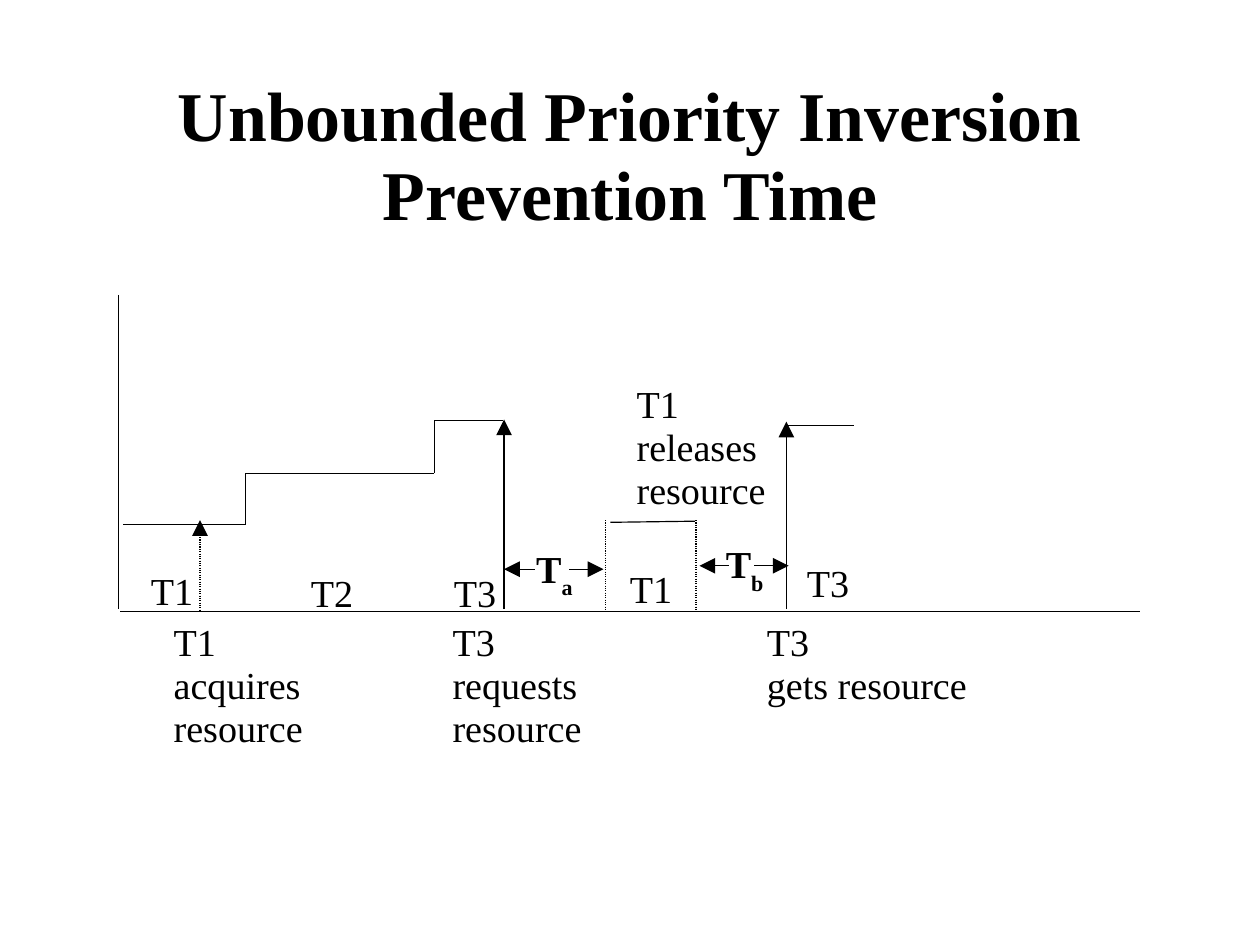
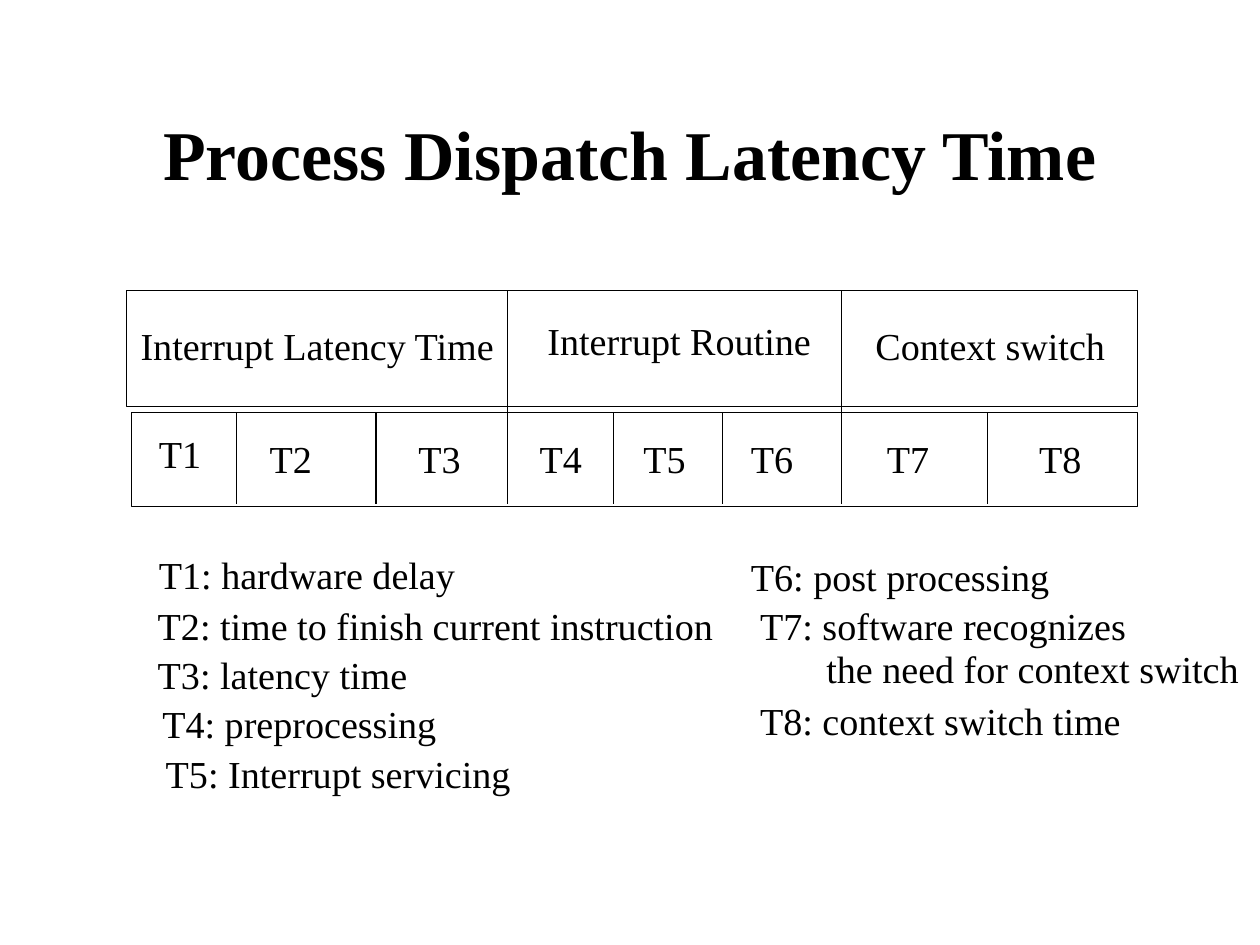
import itertools

import pptx
import pptx.dml.color
import pptx.enum.dml
import pptx.enum.shapes
import pptx.enum.text
import pptx.oxml
import pptx.oxml.ns
import pptx.util

Inches = pptx.util.Inches
Pt = pptx.util.Pt

COLORS = {"ink": "000000"}
FONT = "Times New Roman"
LINE_SPACING = 0.94
PAGE_WIDTH, PAGE_HEIGHT = pptx.util.Cm(28), pptx.util.Cm(21)
TITLE_SIZE, BODY_SIZE = 44, 24
LABEL_WIDTH, LABEL_HEIGHT = 0.45, 0.38

INVERSION_TITLE = "Unbounded Priority Inversion Prevention Time"
AXES = [((1.04, 2.58), (1.04, 5.33)), ((1.05, 5.35), (9.97, 5.35))]
STAIRCASE = [(1.08, 4.59), (2.15, 4.59), (2.15, 4.14), (3.8, 4.14), (3.8, 3.68), (4.4, 3.68)]
LATER_LEVELS = [((5.34, 4.57), (6.08, 4.56)), ((6.89, 3.72), (7.47, 3.72))]
EVENT_ARROWS = [((4.41, 5.33), (4.41, 3.67)), ((6.88, 5.33), (6.88, 3.69))]
RELEASE_MARKS = [5.3, 6.09]
ACQUIRE_MARK = 1.75
MARK_TOP, MARK_BOTTOM = 4.55, 5.35
TASKS = [("T1", 1.32, 5), ("T2", 2.72, 5.01), ("T3", 3.97, 5.01), ("T1", 5.51, 4.98), ("T3", 7.06, 4.93)]
EVENTS = [
    (["T1", "acquires", "resource"], 1.52, 5.44),
    (["T3", "requests", "resource"], 3.96, 5.44),
    (["T1", "releases", "resource"], 5.57, 3.36),
    (["T3", "gets resource"], 6.71, 5.44),
]
INTERVALS = [
    {"sub": "a", "at": (4.69, 4.77), "y": 4.98, "left": (4.41, 4.68), "right": (4.98, 5.28)},
    {"sub": "b", "at": (6.35, 4.73), "y": 4.95, "left": (6.12, 6.38), "right": (6.6, 6.9)},
]

LATENCY_TITLE = "Process Dispatch Latency Time"
BANDS = [(1.15, 3.61, 8.8, 0.82), (1.11, 2.54, 8.84, 1.02)]
PHASES = [
    ("Interrupt Latency Time", 1.23, 2.85, 3.15),
    ("Interrupt Routine", 4.79, 2.81, 2.4),
    ("Context switch", 7.66, 2.85, 2.1),
]
PHASE_BOUNDS = [4.44, 7.36]
STEP_BOUNDS = [2.07, 3.29, 5.37, 6.32, 8.64]
PHASE_TOP, STEP_TOP, BOUND_BOTTOM = 2.55, 3.61, 4.41
STEPS = [("T1", 1.39, 3.8)] + [
    (f"T{number}", left, 3.84)
    for number, left in enumerate([2.36, 3.66, 4.72, 5.63, 6.57, 7.76, 9.09], 2)
]
LEFT_LEGEND = [
    (["T1: hardware delay"], 1.39, 4.86),
    (["T2: time to finish current instruction"], 1.38, 5.3),
    (["T3: latency time"], 1.38, 5.73),
    (["T4: preprocessing"], 1.42, 6.16),
    (["T5: Interrupt servicing"], 1.45, 6.6),
]
RIGHT_LEGEND = [
    (["T6: post processing"], 6.57, 4.87),
    (["T7: software recognizes", "the need for context switch"], 6.65, 5.3),
    (["T8: context switch time"], 6.65, 6.13),
]
LEFT_LEGEND_WIDTH, RIGHT_LEGEND_WIDTH = 4.95, 4.3
CONTINUATION_INDENT = 0.58


def ink():
    return pptx.dml.color.RGBColor.from_string(COLORS["ink"])


def add_text(page, lines, left, top, width, size=BODY_SIZE, bold=False):
    box = page.shapes.add_textbox(
        Inches(left), Inches(top), Inches(width), Inches(LABEL_HEIGHT * len(lines)))
    frame = box.text_frame
    frame.word_wrap = True
    frame.margin_left = frame.margin_top = frame.margin_right = frame.margin_bottom = 0
    frame.text = "\n".join(lines)
    for para in frame.paragraphs:
        para.line_spacing = LINE_SPACING
        para.font.name = FONT
        para.font.size = Pt(size)
        para.font.bold = bold
        para.font.color.rgb = ink()
    return box


def add_title(page, title):
    box = add_text(page, [title], 0.81, 0.67, 9.41, TITLE_SIZE, True)
    box.height = Inches(1.41)
    box.text_frame.vertical_anchor = pptx.enum.text.MSO_ANCHOR.MIDDLE
    box.text_frame.paragraphs[0].alignment = pptx.enum.text.PP_ALIGN.CENTER


def add_line(page, start, end, arrow=None, dotted=False):
    line = page.shapes.add_connector(
        pptx.enum.shapes.MSO_CONNECTOR.STRAIGHT, *[Inches(value) for value in (*start, *end)])
    line.line.color.rgb = ink()
    line.line.width = Pt(0.75)
    if dotted:
        line.line.dash_style = pptx.enum.dml.MSO_LINE.ROUND_DOT
    properties = line._element.spPr
    namespace = pptx.oxml.ns.nsdecls("a")
    if arrow:
        tip = pptx.oxml.parse_xml(f'<a:{arrow} {namespace} type="triangle" w="lg" len="lg"/>')
        properties.find(pptx.oxml.ns.qn("a:ln")).append(tip)
    properties.append(pptx.oxml.parse_xml(f"<a:effectLst {namespace}/>"))


def add_band(page, bounds):
    band = page.shapes.add_shape(
        pptx.enum.shapes.MSO_SHAPE.RECTANGLE, *[Inches(value) for value in bounds])
    band.shadow.inherit = False
    band.fill.background()
    band.line.color.rgb = ink()
    band.line.width = Pt(0.75)


def build_inversion(page):
    add_title(page, INVERSION_TITLE)
    for start, end in [*AXES, *itertools.pairwise(STAIRCASE), *LATER_LEVELS]:
        add_line(page, start, end)
    for start, end in EVENT_ARROWS:
        add_line(page, start, end, "tailEnd")
    for x in RELEASE_MARKS:
        add_line(page, (x, MARK_TOP), (x, MARK_BOTTOM), dotted=True)
    add_line(page, (ACQUIRE_MARK, MARK_TOP), (ACQUIRE_MARK, MARK_BOTTOM), "headEnd", True)
    for task, left, top in TASKS:
        add_text(page, [task], left, top, LABEL_WIDTH)
    for lines, left, top in EVENTS:
        add_text(page, lines, left, top, 1.8)
    for interval in INTERVALS:
        box = add_text(page, ["T"], *interval["at"], LABEL_WIDTH, bold=True)
        span = box.text_frame.paragraphs[0].add_run()
        span.text = interval["sub"]
        span._r.get_or_add_rPr().set("baseline", "-33000")
        for side, arrow in (("left", "headEnd"), ("right", "tailEnd")):
            start, end = interval[side]
            add_line(page, (start, interval["y"]), (end, interval["y"]), arrow)


def build_latency(page):
    add_title(page, LATENCY_TITLE)
    for bounds in BANDS:
        add_band(page, bounds)
    for phase, left, top, width in PHASES:
        add_text(page, [phase], left, top, width)
    for bounds, top in ((PHASE_BOUNDS, PHASE_TOP), (STEP_BOUNDS, STEP_TOP)):
        for x in bounds:
            add_line(page, (x, top), (x, BOUND_BOTTOM))
    for step, left, top in STEPS:
        add_text(page, [step], left, top, LABEL_WIDTH)
    for legend, width in ((LEFT_LEGEND, LEFT_LEGEND_WIDTH), (RIGHT_LEGEND, RIGHT_LEGEND_WIDTH)):
        for lines, left, top in legend:
            box = add_text(page, lines, left, top, width)
            for para in box.text_frame.paragraphs[1:]:
                para._p.get_or_add_pPr().set("marL", str(Inches(CONTINUATION_INDENT)))


def main():
    deck = pptx.Presentation()
    deck.slide_width, deck.slide_height = PAGE_WIDTH, PAGE_HEIGHT
    for build in (build_inversion, build_latency):
        build(deck.slides.add_slide(deck.slide_layouts[6]))
    deck.save("out.pptx")


if __name__ == "__main__":
    main()
